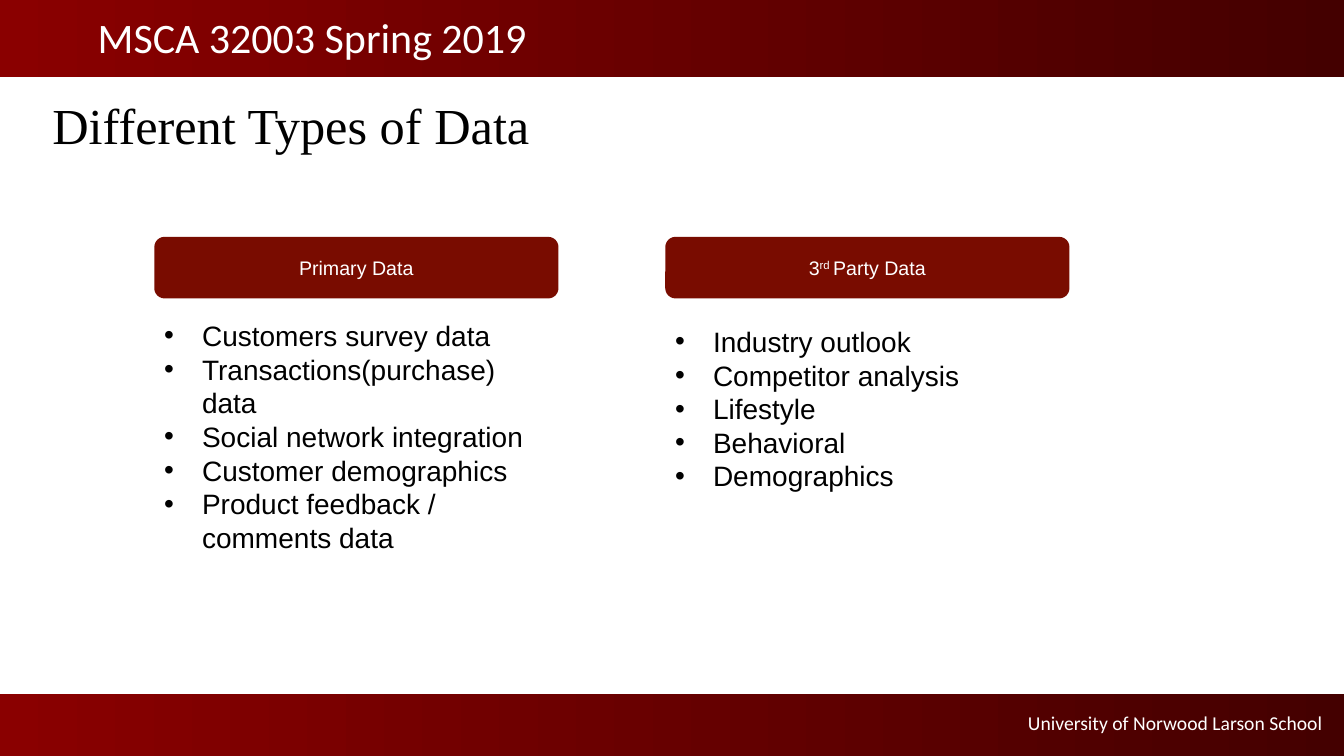
from lxml.etree import SubElement
from pptx import Presentation
from pptx.dml.color import RGBColor
from pptx.enum.shapes import MSO_SHAPE as Shape
from pptx.enum.text import MSO_ANCHOR as Anchor, PP_ALIGN as Align
from pptx.oxml.ns import qn
from pptx.util import Pt

BRIGHT_RED = RGBColor(0x8A, 0x00, 0x00)
DARK_RED = RGBColor(0x44, 0x00, 0x00)
LABEL_RED = RGBColor(0x79, 0x0C, 0x00)
WHITE = RGBColor(0xFF, 0xFF, 0xFF)
BLACK = RGBColor(0x00, 0x00, 0x00)

PAGE_WIDTH, PAGE_HEIGHT = 960, 540
FOOTER_HEIGHT = 44
COLUMN_LEFT, COLUMN_STEP, COLUMN_WIDTH = 110.2, 365, 288.7
LABEL_TOP, LABEL_HEIGHT = 169.2, 44
BULLET_INDENT = 27

# Each column: label spans as (text, raised), top of its list, list items
COLUMNS = [
    ([("Primary Data", False)], 224,
     ["Customers survey data", "Transactions(purchase) data",
      "Social network integration", "Customer demographics",
      "Product feedback / comments data"]),
    ([("3", False), ("rd ", True), ("Party Data", False)], 228.2,
     ["Industry outlook", "Competitor analysis", "Lifestyle",
      "Behavioral", "Demographics"]),
]


def style(para, font_name, size, color, align=Align.LEFT):
    para.alignment = align
    para.font.name = font_name
    para.font.size = Pt(size)
    para.font.color.rgb = color


def add_plain_shape(page, kind, left, top, width, height):
    box = page.shapes.add_shape(kind, Pt(left), Pt(top), Pt(width), Pt(height))
    box.shadow.inherit = False
    box.line.fill.background()
    return box


def add_band(page, top, height):
    band = add_plain_shape(page, Shape.RECTANGLE, 0, top, PAGE_WIDTH, height)
    band.fill.gradient()
    band.fill.gradient_angle = 0
    for stop, color, position in zip(band.fill.gradient_stops,
                                     (BRIGHT_RED, DARK_RED), (0, 1)):
        stop.color.rgb = color
        stop.position = position


def add_text_frame(page, left, top, width, height, side_inset=7.2):
    box = page.shapes.add_textbox(Pt(left), Pt(top), Pt(width), Pt(height))
    frame = box.text_frame
    frame.word_wrap = True
    frame.margin_left = frame.margin_right = Pt(side_inset)
    frame.margin_top = frame.margin_bottom = Pt(3.6)
    return frame


def add_line_of_text(page, text, area, side_inset, *text_style):
    para = add_text_frame(page, *area, side_inset).paragraphs[0]
    para.text = text
    style(para, *text_style)


def add_label(page, left, spans):
    label = add_plain_shape(page, Shape.ROUNDED_RECTANGLE, left, LABEL_TOP,
                            COLUMN_WIDTH, LABEL_HEIGHT)
    label.fill.solid()
    label.fill.fore_color.rgb = LABEL_RED
    label.text_frame.vertical_anchor = Anchor.MIDDLE
    para = label.text_frame.paragraphs[0]
    style(para, "Arial", 14, WHITE, Align.CENTER)
    for text, raised in spans:
        span = para.add_run()
        span.text = text
        if raised:
            span._r.get_or_add_rPr().set("baseline", "30000")


def add_bullets(page, left, top, items):
    frame = add_text_frame(page, left, top, COLUMN_WIDTH, 24 * 7 + 7.2)
    for index, item in enumerate(items):
        para = frame.add_paragraph() if index else frame.paragraphs[0]
        para.text = item
        para.line_spacing = Pt(24)
        # Bullet with a hanging indent
        properties = para._p.get_or_add_pPr()
        properties.set("marL", str(Pt(BULLET_INDENT)))
        properties.set("indent", str(-Pt(BULLET_INDENT)))
        SubElement(properties, qn("a:buFont")).set("typeface", "Arial")
        SubElement(properties, qn("a:buChar")).set("char", "•")
        style(para, "Arial", 20, BLACK)


def main():
    deck = Presentation()
    deck.slide_width, deck.slide_height = Pt(PAGE_WIDTH), Pt(PAGE_HEIGHT)
    page = deck.slides.add_slide(deck.slide_layouts[6])

    # Header and footer bands
    add_band(page, PAGE_HEIGHT - FOOTER_HEIGHT, FOOTER_HEIGHT)
    add_band(page, 0, 55)
    add_line_of_text(page, "University of Norwood Larson School",
                     (540, 504, 411.8, 24.5), 7.2,
                     "Calibri", 14, WHITE, Align.RIGHT)
    add_line_of_text(page, "MSCA 32003 Spring 2019", (66.2, 5, 617.8, 44), 3.6,
                     "Calibri", 30, WHITE)

    # Title
    add_line_of_text(page, "Different Types of Data", (33.8, 64, 617.8, 51), 3.6,
                     "Times New Roman", 36, BLACK)

    # Data columns
    for number, (spans, list_top, items) in enumerate(COLUMNS):
        left = COLUMN_LEFT + number * COLUMN_STEP
        add_label(page, left, spans)
        add_bullets(page, left, list_top, items)

    deck.save("out.pptx")


main()
